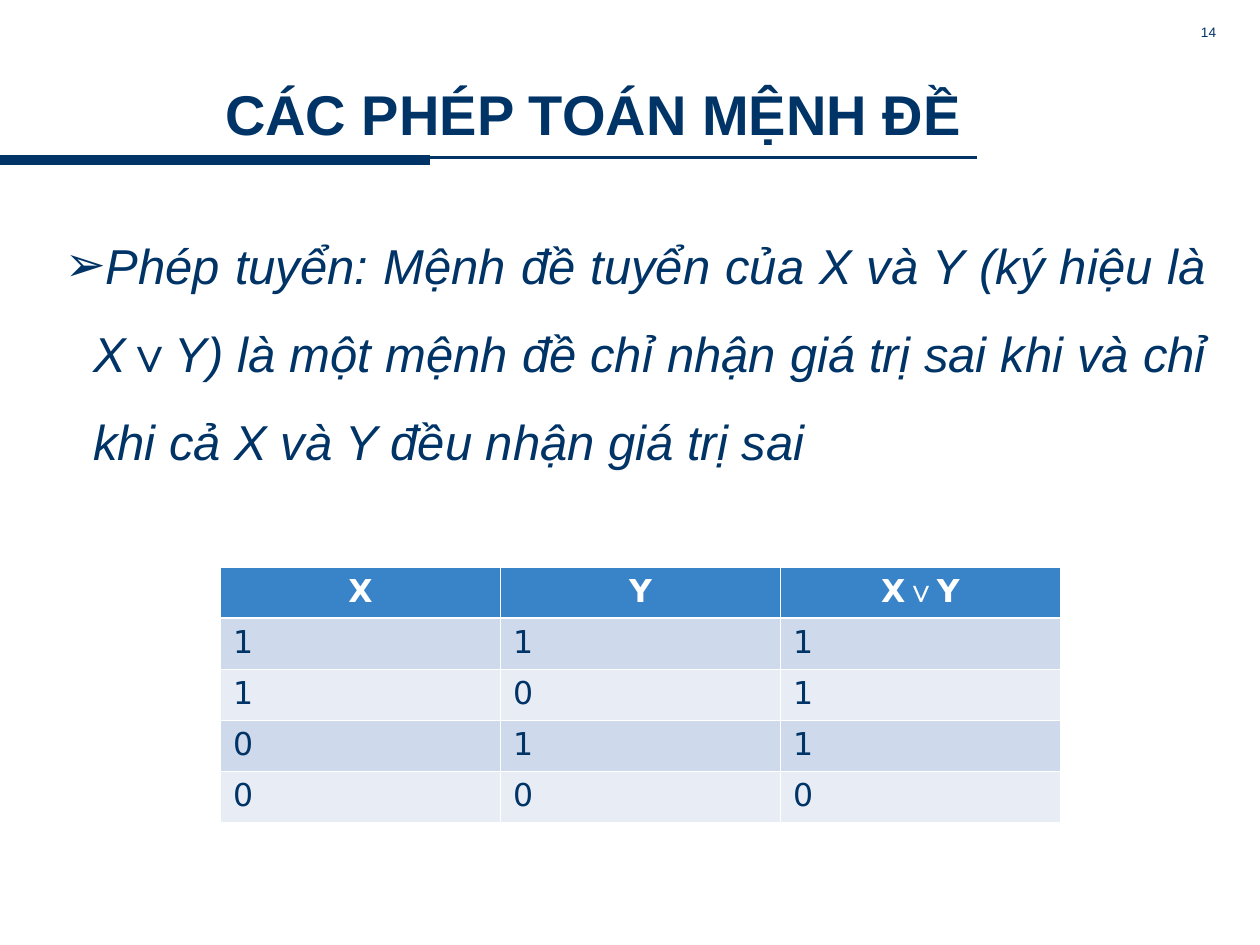
from lxml import etree
from pptx import Presentation
from pptx.dml.color import RGBColor
from pptx.enum import shapes, text
from pptx.oxml import ns
from pptx.util import Pt

HUES = {"navy": "003366", "white": "FFFFFF", "head": "3984C9",
        "odd": "CED9EB", "even": "E8EDF5"}
ALIGN = text.PP_ALIGN


def hue(name):
    return RGBColor.from_string(HUES[name])


def add(host, tag, **attrs):
    return etree.SubElement(host, ns.qn(tag), attrs)


def style(font, size, name="Arial", color="navy", bold=False, italic=False):
    font.size, font.name = Pt(size), name
    font.bold, font.italic = bold, italic
    font.color.rgb = hue(color)


def label(slide, box, words, align, anchor=text.MSO_ANCHOR.TOP):
    frame = slide.shapes.add_textbox(*map(Pt, box)).text_frame
    frame.word_wrap = True
    frame.vertical_anchor = anchor
    para = frame.paragraphs[0]
    para.text, para.alignment = words, align
    return para


def rule(slide, start, end, y, width):
    line = slide.shapes.add_connector(
        shapes.MSO_CONNECTOR.STRAIGHT, Pt(start), Pt(y), Pt(end), Pt(y))
    line.line.color.rgb = hue("navy")
    line.line.width = Pt(width)
    add(line._element.spPr, "a:effectLst")


def header(slide, box):
    left, top, width, height = box
    rule(slide, left + 558, left, top + 90, 1.5)
    rule(slide, left, left + 246, top + 91.5, 6)
    page = label(slide, (left + width - 156, top + 12, 138, 18),
                 "14", ALIGN.RIGHT)
    page.line_spacing = 0.8
    style(page.font, 7.8)
    title = label(slide, (left + 36, top + 42, 606, 45),
                  "CÁC PHÉP TOÁN MỆNH ĐỀ", ALIGN.CENTER,
                  text.MSO_ANCHOR.MIDDLE)
    style(title.font, 32, bold=True)


def body(slide, box):
    para = label(slide, box,
                 "Phép tuyển: Mệnh đề tuyển của X và Y (ký hiệu là X∨Y) "
                 "là một mệnh đề chỉ nhận giá trị sai khi và chỉ khi cả "
                 "X và Y đều nhận giá trị sai", ALIGN.JUSTIFY)
    para.line_spacing = 1.5
    props = para._p.get_or_add_pPr()
    props.set("marL", str(Pt(16.2)))
    props.set("indent", str(-Pt(16.2)))
    tint = add(props, "a:buClr")
    add(tint, "a:srgbClr", val=HUES["navy"])
    add(props, "a:buFont", typeface="Arial")
    add(props, "a:buChar", char="➢")
    style(para.font, 28, italic=True)


def edge(cell, side, width):
    line = add(cell._tc.get_or_add_tcPr(), f"a:ln{side}", w=str(Pt(width)))
    add(add(line, "a:solidFill"), "a:srgbClr", val=HUES["white"])


def truth(slide, box):
    rows = [["X", "Y", "X∨Y"]]
    rows += [[x, y, x | y] for x in (1, 0) for y in (1, 0)]
    table = slide.shapes.add_table(len(rows), 3, *map(Pt, box)).table
    for col in table.columns:
        col.width = Pt(box[2] / 3)
    for r, row in enumerate(rows):
        table.rows[r].height = Pt(box[3] / len(rows))
        top = r == 0
        for c, value in enumerate(row):
            cell = table.cell(r, c)
            for side in "LRTB":
                thick = (r, side) in ((0, "B"), (1, "T"))
                edge(cell, side, 1.47 if thick else 0.45)
            cell.fill.solid()
            cell.fill.fore_color.rgb = hue(
                "head" if top else "odd" if r % 2 else "even")
            para = cell.text_frame.paragraphs[0]
            para.alignment = ALIGN.CENTER if top else ALIGN.LEFT
            for char in str(value):
                run = para.add_run()
                run.text = char
                style(run.font, 18, "Arial" if char == "∨" else "DejaVu Sans",
                      "white" if top else "navy", top)


def main():
    deck = Presentation()
    deck.slide_width, deck.slide_height = Pt(720), Pt(540)
    slide = deck.slides.add_slide(deck.slide_layouts[6])
    header(slide, (0, 0, 720, 96))
    body(slide, (30, 114, 666, 158.4))
    truth(slide, (126, 324, 480, 146))
    deck.save("out.pptx")


if __name__ == "__main__":
    main()
